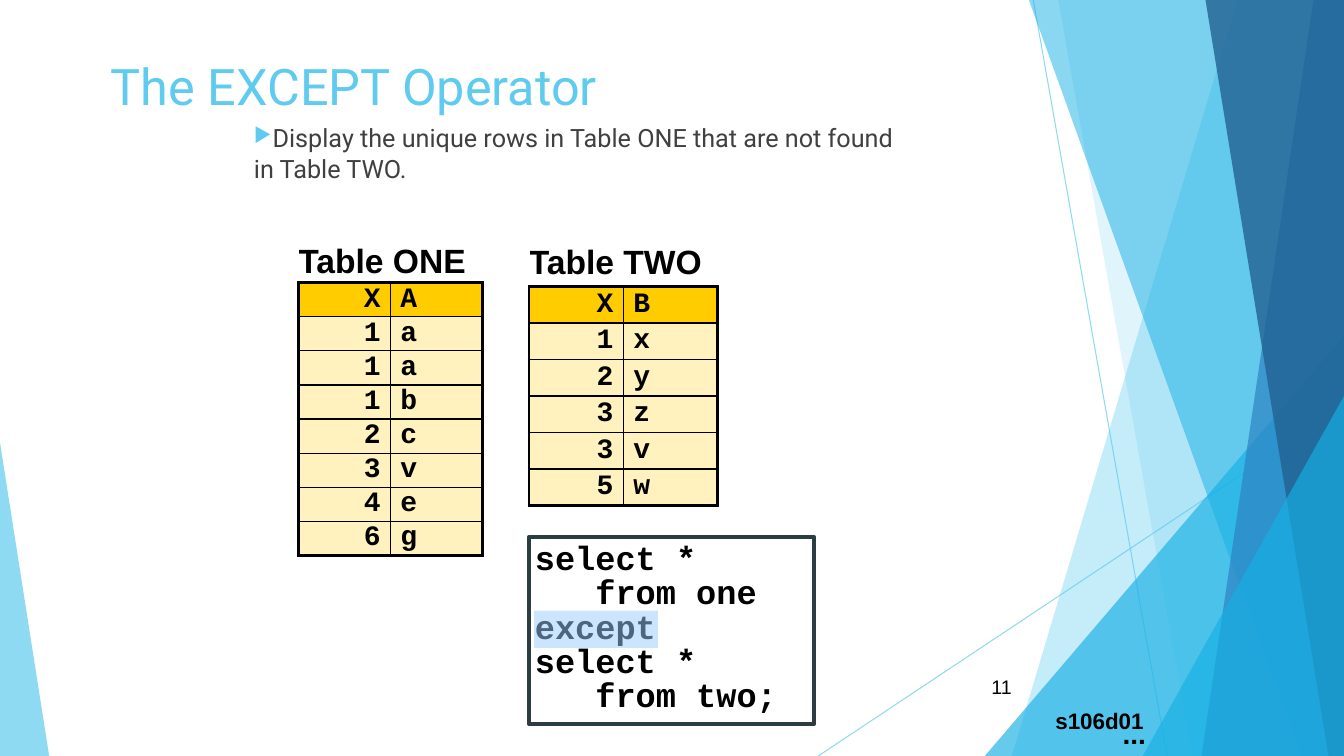
from dataclasses import dataclass

from lxml.etree import SubElement
from pptx import Presentation
from pptx.dml.color import RGBColor
from pptx.enum.shapes import MSO_CONNECTOR, MSO_SHAPE
from pptx.enum.text import MSO_ANCHOR, PP_ALIGN
from pptx.oxml.ns import qn
from pptx.util import Cm, Pt

WIDTH, HEIGHT = 33.87, 19.05


@dataclass(frozen=True)
class Theme:
    sky: str = "5FCBEF"
    cyan: str = "17B0E4"
    blue: str = "2E83C3"
    navy: str = "226292"
    body_text: str = "404040"
    black: str = "000000"
    white: str = "FFFFFF"
    frame: str = "2C3C43"
    header: str = "FFCC00"
    cell: str = "FFF2BE"
    highlight: str = "99CCFF"
    heading_font: str = "Roboto"
    label_font: str = "Arial"
    code_font: str = "Courier New"
    title_size: int = 36
    caption_size: int = 24
    cell_size: int = 20
    body_size: int = 18
    note_size: int = 16
    number_size: int = 14
    thin: float = 1
    thick: float = 2.25


class SlideBuilder:
    def __init__(self, prs, theme):
        self.theme = theme
        self.slide = prs.slides.add_slide(prs.slide_layouts[5])
        self.shapes = self.slide.shapes

    def run(self, p, text, size, font, color, bold=False):
        r = p.add_run()
        r.text = text
        r.font.size = Pt(size)
        r.font.name = font
        r.font.bold = bold
        r.font.color.rgb = RGBColor.from_string(color)

    def alpha(self, sp, percent):
        for color in sp._element.spPr.iter(qn("a:srgbClr")):
            SubElement(color, qn("a:alpha"), val=str(percent * 1000))

    def paint(self, sp, color, percent=100):
        sp.shadow.inherit = False
        sp.fill.solid()
        sp.fill.fore_color.rgb = RGBColor.from_string(color)
        sp.line.fill.background()
        if percent < 100:
            self.alpha(sp, percent)

    def title(self, text, x, y, w, h):
        sp = self.shapes.title
        sp.left, sp.top, sp.width, sp.height = Cm(x), Cm(y), Cm(w), Cm(h)
        tf = sp.text_frame
        tf.vertical_anchor = MSO_ANCHOR.TOP
        p = tf.paragraphs[0]
        p.alignment = PP_ALIGN.LEFT
        t = self.theme
        self.run(p, text, t.title_size, t.heading_font, t.sky)

    def line(self, x1, y1, x2, y2):
        sp = self.shapes.add_connector(
            MSO_CONNECTOR.STRAIGHT, Cm(x1), Cm(y1), Cm(x2), Cm(y2))
        sp.line.width = Pt(0.75)
        sp.line.color.rgb = RGBColor.from_string(self.theme.sky)
        self.alpha(sp, 70)
        SubElement(sp._element.spPr, qn("a:effectLst"))

    def panel(self, top_x, bottom_x, color, percent):
        fb = self.shapes.build_freeform(Cm(top_x), 0)
        fb.add_line_segments([(Cm(WIDTH), 0), (Cm(WIDTH), Cm(HEIGHT)),
                              (Cm(bottom_x), Cm(HEIGHT))], close=True)
        self.paint(fb.convert_to_shape(), color, percent)

    def triangle(self, x, y, w, apex, color, percent):
        sp = self.shapes.add_shape(MSO_SHAPE.ISOSCELES_TRIANGLE,
                                   Cm(x), Cm(y), Cm(w), Cm(HEIGHT - y))
        sp.adjustments[0] = apex
        self.paint(sp, color, percent)

    def rect(self, x, y, w, h, color, percent=100):
        sp = self.shapes.add_shape(MSO_SHAPE.RECTANGLE,
                                   Cm(x), Cm(y), Cm(w), Cm(h))
        self.paint(sp, color, percent)
        return sp

    def textbox(self, x, y, w, h):
        tf = self.shapes.add_textbox(Cm(x), Cm(y), Cm(w), Cm(h)).text_frame
        tf.word_wrap = True
        return tf

    def bullet(self, lines, x, y, w, h):
        t = self.theme
        p = self.textbox(x, y, w, h).paragraphs[0]
        pPr = p._p.get_or_add_pPr()
        SubElement(SubElement(pPr, qn("a:buClr")), qn("a:srgbClr"), val=t.sky)
        SubElement(pPr, qn("a:buSzPct"), val="80000")
        SubElement(pPr, qn("a:buChar"), char="▶")
        for i, text in enumerate(lines):
            if i:
                p.add_line_break()
            self.run(p, text, t.body_size, t.heading_font, t.body_text)

    def label(self, text, x, y, w, h, size, bold=True, align=PP_ALIGN.LEFT,
              anchor=MSO_ANCHOR.TOP, inset=0.13):
        tf = self.textbox(x, y, w, h)
        tf.vertical_anchor = anchor
        tf.margin_top = tf.margin_bottom = Cm(inset)
        p = tf.paragraphs[0]
        p.alignment = align
        self.run(p, text, size, self.theme.label_font, self.theme.black, bold)

    def code(self, lines, x, y, w, h):
        t = self.theme
        sp = self.rect(x, y, w, h, t.white)
        sp.line.width = Pt(3)
        sp.line.color.rgb = RGBColor.from_string(t.frame)
        tf = sp.text_frame
        tf.word_wrap = True
        tf.vertical_anchor = MSO_ANCHOR.TOP
        tf.margin_left = tf.margin_right = Cm(0.15)
        tf.margin_top = tf.margin_bottom = Cm(0.15)
        for i, text in enumerate(lines):
            p = tf.add_paragraph() if i else tf.paragraphs[0]
            p.alignment = PP_ALIGN.LEFT
            p.line_spacing = 0.85
            self.run(p, text, t.caption_size, t.code_font, t.black, True)

    def cell(self, cell, text, font, size, margin, align, borders, fill=None):
        cell.margin_left = cell.margin_right = Cm(margin)
        cell.margin_top = cell.margin_bottom = 0
        cell.vertical_anchor = MSO_ANCHOR.MIDDLE
        tcPr = cell._tc.get_or_add_tcPr()
        for side, width in borders.items():
            ln = SubElement(tcPr, qn(f"a:ln{side}"), w=str(Pt(width)))
            SubElement(SubElement(ln, qn("a:solidFill")), qn("a:srgbClr"),
                       val=self.theme.black)
        if fill:
            cell.fill.solid()
            cell.fill.fore_color.rgb = RGBColor.from_string(fill)
        else:
            cell.fill.background()
        p = cell.text_frame.paragraphs[0]
        p.alignment = align
        self.run(p, text, size, font, self.theme.black, True)

    def table(self, caption, rows, x, y, col_w, caption_h, row_h):
        t = self.theme
        last = len(rows)
        table = self.shapes.add_table(
            last + 1, 2, Cm(x), Cm(y), Cm(2 * col_w),
            Cm(caption_h + last * row_h)).table
        table.first_row = table.horz_banding = False
        for col in table.columns:
            col.width = Cm(col_w)
        for i, row in enumerate(table.rows):
            row.height = Cm(row_h if i else caption_h)
        table.cell(0, 0).merge(table.cell(0, 1))
        self.cell(table.cell(0, 0), caption, t.label_font, t.caption_size, 0,
                  PP_ALIGN.LEFT, {"B": t.thick})
        for i, values in enumerate(rows, 1):
            for j, value in enumerate(values):
                borders = {"L": t.thin if j else t.thick,
                           "R": t.thick if j else t.thin,
                           "T": t.thick if i == 1 else t.thin,
                           "B": t.thick if i == last else t.thin}
                self.cell(table.cell(i, j), value, t.code_font, t.cell_size,
                          0.25, PP_ALIGN.LEFT if j else PP_ALIGN.RIGHT,
                          borders, t.header if i == 1 else t.cell)


def main():
    prs = Presentation()
    prs.slide_width, prs.slide_height = Cm(WIDTH), Cm(HEIGHT)
    t = Theme()
    s = SlideBuilder(prs, t)
    s.line(26.04, 0, 29.41, HEIGHT)
    s.line(WIDTH, 10.24, 20.62, HEIGHT)
    s.panel(31.19, 25.5, t.sky, 36)
    s.panel(26.67, 30.05, t.sky, 20)
    s.triangle(24.82, 8.46, 9.05, 1, t.cyan, 66)
    s.panel(25.93, 32.79, t.cyan, 50)
    s.panel(33.1, 30.28, t.blue, 70)
    s.panel(30.38, 33.48, t.navy, 80)
    s.triangle(28.8, 9.98, 5.07, 1, t.cyan, 66)
    s.triangle(0, 11.15, 1.24, 0, t.sky, 70)
    s.title("The EXCEPT Operator", 2.54, 1.27, 31.33, 1.9)
    s.bullet(["Display the unique rows in Table ONE that are not found ",
              "in Table TWO."], 6.15, 2.97, 21.79, 11.84)
    s.table("Table TWO", ["XB", "1x", "2y", "3z", "3v", "5w"],
            13.33, 6.05, 2.38, 1.17, 0.92)
    s.label("11", 23.85, 16.79, 1.9, 1.02, t.number_size, bold=False,
            align=PP_ALIGN.RIGHT, anchor=MSO_ANCHOR.MIDDLE)
    s.code(["select *", "   from one", "except", "select *", "   from two;"],
           13.33, 13.54, 7.19, 4.7)
    s.label("...", 28.04, 17.93, 1.5, 1.12, t.cell_size)
    s.table("Table ONE", ["XA", "1a", "1a", "1b", "2c", "3v", "4e", "6g"],
            7.52, 6.1, 2.32, 1.02, 0.86)
    s.label("s106d01", 25.87, 17.58, 3.2, 1.17, t.note_size,
            align=PP_ALIGN.RIGHT, inset=0.25)
    s.rect(13.46, 15.39, 3.12, 0.94, t.highlight, 50)
    prs.save("out.pptx")


if __name__ == "__main__":
    main()
